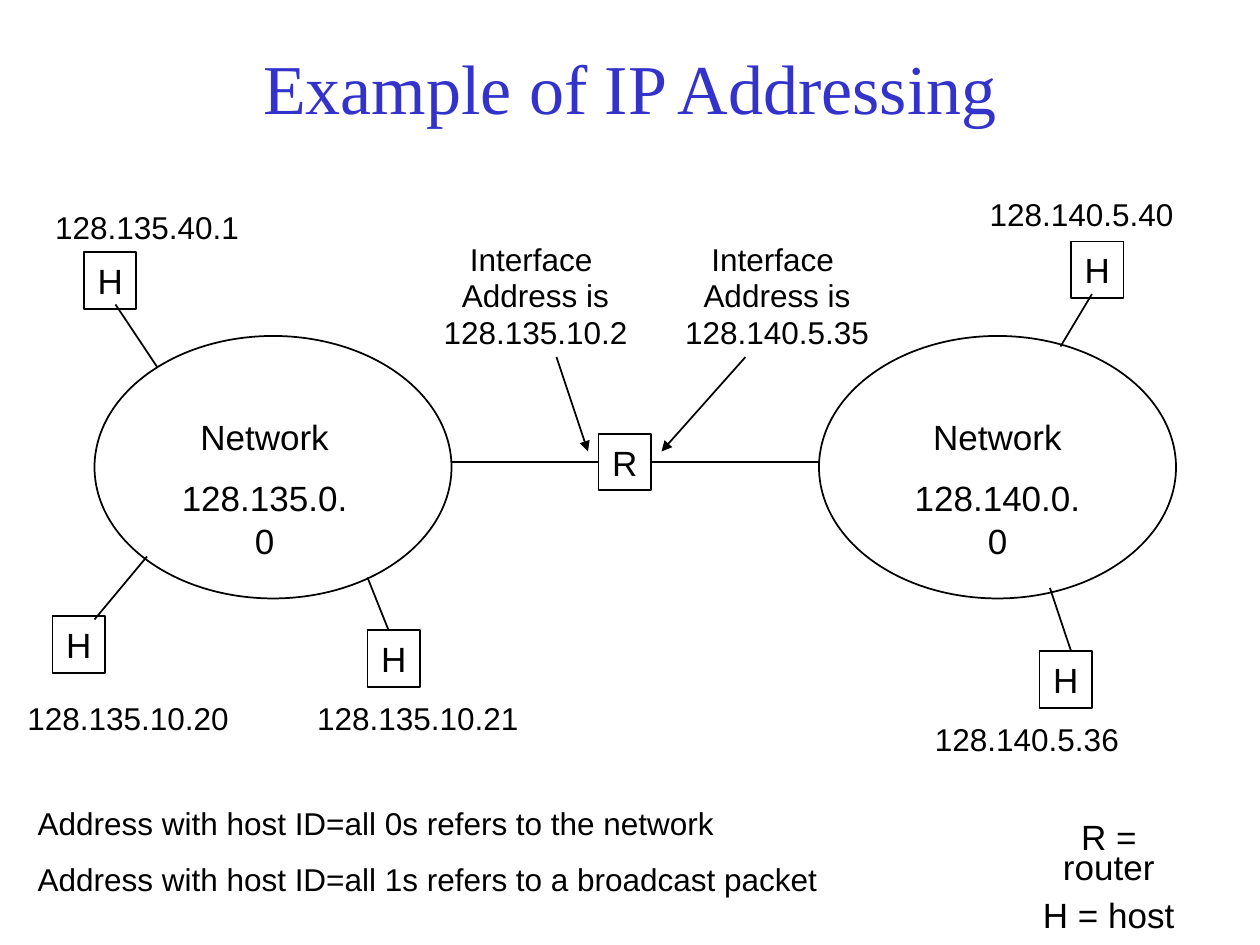
import dataclasses
import typing

import pptx
import pptx.dml.color
import pptx.enum.shapes
import pptx.enum.text
import pptx.oxml
import pptx.oxml.ns
import pptx.util

COLS, ROWS = 120, 90  # grid cells across and down the slide
WIDE, HIGH = pptx.util.Inches(10), pptx.util.Inches(7.5)
BLACK, WHITE, BLUE = "000000", "FFFFFF", "3333CC"
KIND = pptx.enum.shapes.MSO_SHAPE
ALIGN = pptx.enum.text.PP_ALIGN
ANCHOR = pptx.enum.text.MSO_ANCHOR
FIT = pptx.enum.text.MSO_AUTO_SIZE
NODE, OVAL = (5, 5.4), (34, 25)  # sizes in columns and rows


@dataclasses.dataclass(frozen=True)
class Node:
    col: float
    row: float
    name: str = "H"


@dataclasses.dataclass(frozen=True)
class Link:
    start: tuple[float, float]
    end: tuple[float, float]
    arrow: bool = False


@dataclasses.dataclass(frozen=True)
class Label:
    col: float
    row: float
    wide: float
    high: float
    lines: tuple[str, ...]
    size: int = 18
    pitch: float = 1
    wrap: bool = False
    align: typing.Any = ALIGN.CENTER


OVALS = [(9, 32), (78, 32)]
NODES = [Node(57, 41.3, "R"), Node(8, 24), Node(102, 23),
         Node(99, 62), Node(5, 58.7), Node(35, 60)]
LINKS = [
    Link((57, 44), (43, 44)),
    Link((62, 44), (78, 44)),
    Link((53, 34), (56, 43), True),
    Link((71, 34), (63, 43), True),
    Link((9, 59), (14, 53)),
    Link((37, 60), (35, 55)),
    Link((11, 29), (15, 35)),
    Link((104, 28), (101, 33)),
    Link((102, 62), (100, 56)),
]
NETS = [Label(col, 39, 19.8, 11.2, ("Network", text), 20, wrap=True)
        for col, text in [(15.3, "128.135.0.0"), (85.1, "128.140.0.0")]]
PORTS = [Label(col, 23.8, 20, 10.3, ("Interface ", "Address is", text), pitch=0.5)
         for col, text in [(41, "128.135.10.2"), (64, "128.140.5.35")]]
HOSTS = [Label(col, row, wide, 4.8, (text,)) for col, row, wide, text in [
    (1.4, 66, 21.6, "128.135.10.20"),
    (29, 66, 21.6, "128.135.10.21"),
    (4, 19.2, 20, "128.135.40.1"),
    (87.8, 68, 20, "128.140.5.36"),
    (93, 18, 20, "128.140.5.40"),
]]
NOTES = [
    Label(97.1, 78.2, 17, 8.8, ("R = router", "H = host"), 20, 0.7, True),
    Label(2.4, 76, 76.7, 10.2, (
        "Address with host ID=all 0s refers to the network",
        "Address with host ID=all 1s refers to a broadcast packet",
    ), align=ALIGN.LEFT),
]


def paint(code: str) -> pptx.dml.color.RGBColor:
    return pptx.dml.color.RGBColor.from_string(code)


def place(col: float, row: float) -> tuple[int, int]:
    """Turn grid columns and rows into slide lengths."""
    return round(WIDE * col / COLS), round(HIGH * row / ROWS)


def apply(item: typing.Any, form: dict[str, typing.Any]) -> None:
    for key, value in form.items():
        setattr(item, key, value)


def write(frame: typing.Any, lines: tuple[str, ...], size: int = 20,
          pitch: float = 1, align: typing.Any = ALIGN.CENTER,
          face: str = "Arial", tint: str = BLACK) -> None:
    for index, text in enumerate(lines):
        para = frame.paragraphs[0] if index == 0 else frame.add_paragraph()
        para.text = text
        gap = pptx.util.Pt(round(size * 0.55) if index else 0)
        apply(para, {"alignment": align, "line_spacing": pitch, "space_before": gap})
        apply(para.font, {"name": face, "size": pptx.util.Pt(size)})
        para.font.color.rgb = paint(tint)


def stroke(line: typing.Any) -> None:
    line.color.rgb = paint(BLACK)
    line.width = pptx.util.Pt(1)


def draw_form(slide: typing.Any, kind: typing.Any, spot: tuple[float, float],
              size: tuple[float, float], fill: str = "") -> typing.Any:
    shape = slide.shapes.add_shape(kind, *place(*spot), *place(*size))
    shape.shadow.inherit = False
    if fill:
        shape.fill.solid()
        shape.fill.fore_color.rgb = paint(fill)
    else:
        shape.fill.background()
    stroke(shape.line)
    return shape


def draw_node(slide: typing.Any, node: Node) -> None:
    shape = draw_form(slide, KIND.RECTANGLE, (node.col, node.row), NODE, WHITE)
    apply(shape.text_frame, {"word_wrap": False, "vertical_anchor": ANCHOR.MIDDLE})
    write(shape.text_frame, (node.name,))


def draw_link(slide: typing.Any, link: Link) -> None:
    line = slide.shapes.add_connector(
        pptx.enum.shapes.MSO_CONNECTOR.STRAIGHT, *place(*link.start), *place(*link.end))
    stroke(line.line)
    if link.arrow:
        head = pptx.oxml.parse_xml(
            f'<a:tailEnd {pptx.oxml.ns.nsdecls("a")} type="triangle"/>')
        line.line._get_or_add_ln().append(head)
    line._element.spPr.append(
        pptx.oxml.parse_xml(f'<a:effectLst {pptx.oxml.ns.nsdecls("a")}/>'))


def draw_label(slide: typing.Any, label: Label) -> None:
    box = slide.shapes.add_textbox(
        *place(label.col, label.row), *place(label.wide, label.high))
    apply(box.text_frame, {"word_wrap": label.wrap, "auto_size": FIT.SHAPE_TO_FIT_TEXT})
    write(box.text_frame, label.lines, label.size, label.pitch, label.align)


def draw_title(slide: typing.Any, text: str) -> None:
    title = slide.shapes.title
    left, top = place(6, 3.6)
    width, height = place(108, 15)
    apply(title, {"left": left, "top": top, "width": width, "height": height})
    title.fill.solid()
    title.fill.fore_color.rgb = paint(WHITE)
    apply(title.text_frame, {"vertical_anchor": ANCHOR.TOP, "auto_size": FIT.NONE})
    write(title.text_frame, (text,), 40, face="Times New Roman", tint=BLUE)


def main() -> None:
    deck = pptx.Presentation()
    apply(deck, {"slide_width": WIDE, "slide_height": HIGH})
    slide = deck.slides.add_slide(deck.slide_layouts[5])
    draw_title(slide, "Example of IP Addressing")
    for spot in OVALS:
        draw_form(slide, KIND.OVAL, spot, OVAL)
    for node in NODES:
        draw_node(slide, node)
    for link in LINKS:
        draw_link(slide, link)
    for label in NETS + PORTS + HOSTS + NOTES:
        draw_label(slide, label)
    deck.save("out.pptx")


if __name__ == "__main__":
    main()
